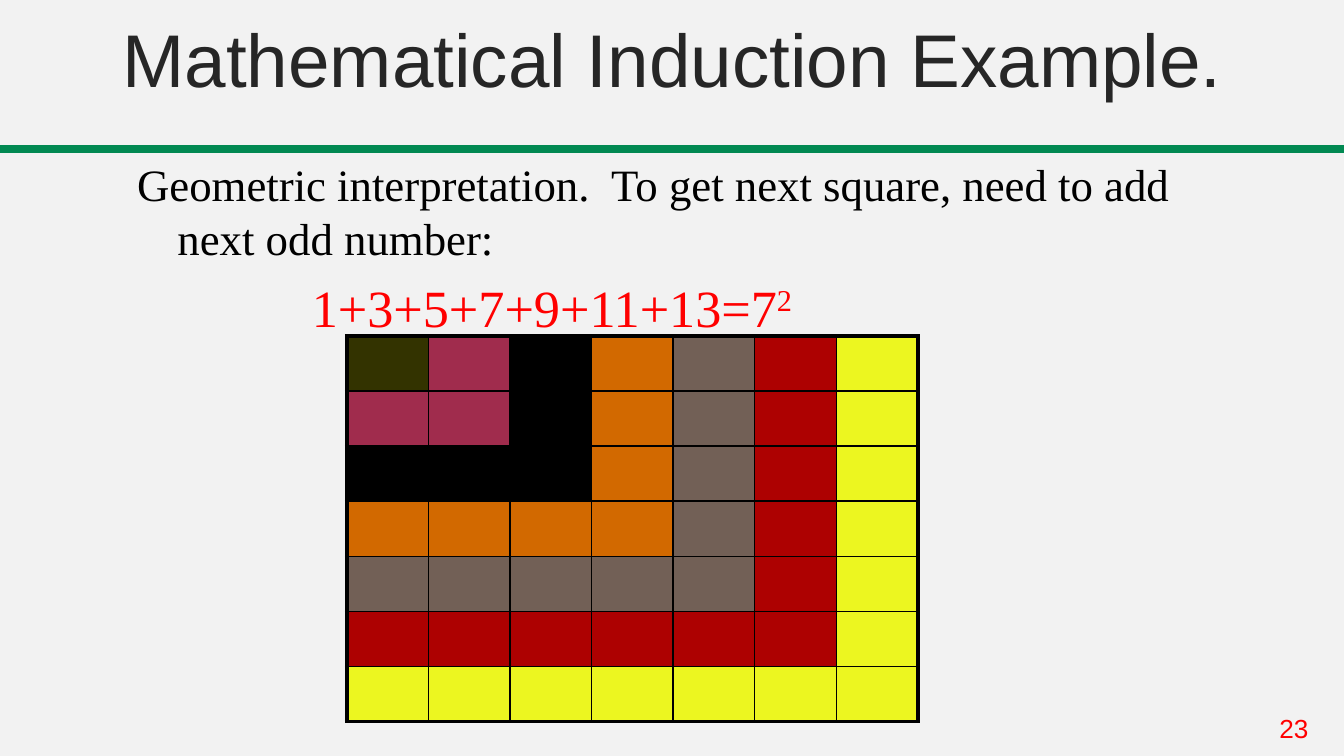
"""Build the slide that shows odd numbers adding up to a square."""

from dataclasses import dataclass, field
from typing import Any

from lxml.etree import SubElement
from pptx import Presentation
from pptx.dml.color import RGBColor as Rgb
from pptx.enum.shapes import MSO_SHAPE as Shape
from pptx.enum.text import MSO_ANCHOR as Anchor, MSO_AUTO_SIZE as AutoSize, PP_ALIGN as Align
from pptx.oxml.ns import qn
from pptx.util import Inches, Pt

COLORS = {
    "background": "F2F2F2", "bar": "018952", "title": "262626",
    "text": "000000", "accent": "FF0000", "border": "000000",
}
RING_COLORS = {
    1: "333300", 3: "A02C4D", 5: "000000", 7: "D26900",
    9: "726056", 11: "AD0101", 13: "ECF620",
}
SQUARE_WIDTH, SQUARE_HEIGHT = 4.25, 2.87
INNER_LINE, OUTER_LINE = 1, 2.25


@dataclass
class Run:
    text: str
    font: str
    size: float
    color: str
    baseline: int = 0


@dataclass
class Line:
    runs: list[Run]
    formats: dict[str, Any] = field(default_factory=dict)
    hanging: float = 0


def apply_formats(target: Any, formats: dict[str, Any]) -> None:
    """Set every attribute named in the formats."""
    for name, value in formats.items():
        setattr(target, name, value)


def place(shape: Any, left: float, top: float, width: float, height: float) -> None:
    """Move and size a shape, in inches."""
    box = {"left": left, "top": top, "width": width, "height": height}
    apply_formats(shape, {name: Inches(value) for name, value in box.items()})


def write_lines(shape: Any, lines: list[Line], anchor: Anchor) -> None:
    """Fill a shape with formatted paragraphs."""
    frame = shape.text_frame
    apply_formats(frame, {"word_wrap": True, "auto_size": AutoSize.NONE, "vertical_anchor": anchor})
    for index, line in enumerate(lines):
        paragraph = frame.add_paragraph() if index else frame.paragraphs[0]
        apply_formats(paragraph, line.formats)
        if line.hanging:
            properties = paragraph._p.get_or_add_pPr()
            properties.set("marL", str(Inches(line.hanging)))
            properties.set("indent", str(-Inches(line.hanging)))
            properties.set("defTabSz", str(Inches(1)))
            SubElement(properties, qn("a:buNone"))
        for item in line.runs:
            run = paragraph.add_run()
            run.text = item.text
            apply_formats(run.font, {"name": item.font, "size": Pt(item.size)})
            run.font.color.rgb = Rgb.from_string(COLORS[item.color])
            if item.baseline:
                run.font._element.set("baseline", str(item.baseline * 1000))


def draw_bar(slide: Any) -> None:
    """Draw the green rule under the title."""
    bar = slide.shapes.add_shape(Shape.RECTANGLE, 0, Inches(1.09), Inches(10), Inches(0.04))
    bar.shadow.inherit = False
    bar.fill.solid()
    for color in (bar.fill.fore_color, bar.line.color):
        color.rgb = Rgb.from_string(COLORS["bar"])
    bar.line.width = Pt(1.75)


def set_borders(cell: Any, widths: dict[str, float]) -> None:
    """Give each side of a cell a solid line, ahead of its fill."""
    properties = cell._tc.get_or_add_tcPr()
    for side, width in widths.items():
        line = SubElement(properties, qn(f"a:ln{side}"), w=str(Pt(width)))
        fill = SubElement(line, qn("a:solidFill"))
        SubElement(fill, qn("a:srgbClr"), val=COLORS["border"])


def draw_square(slide: Any, left: float, top: float) -> None:
    """Draw the square as nested L-shaped rings of table cells."""
    rings = list(RING_COLORS.values())
    count = len(rings)
    table = slide.shapes.add_table(
        count, count, Inches(left), Inches(top), Inches(SQUARE_WIDTH), Inches(SQUARE_HEIGHT),
    ).table
    apply_formats(table, {"first_row": False, "horz_banding": False})
    for column in table.columns:
        column.width = Inches(SQUARE_WIDTH / count)
    for row in table.rows:
        row.height = Inches(SQUARE_HEIGHT / count)
    for row in range(count):
        for column in range(count):
            cell = table.cell(row, column)
            edges = {"L": column == 0, "R": column == count - 1, "T": row == 0, "B": row == count - 1}
            set_borders(cell, {side: OUTER_LINE if outer else INNER_LINE for side, outer in edges.items()})
            cell.fill.solid()
            cell.fill.fore_color.rgb = Rgb.from_string(rings[max(row, column)])


def main() -> None:
    """Build and save the presentation."""
    presentation = Presentation()
    width = Inches(10)
    apply_formats(presentation, {"slide_width": width, "slide_height": width * 9 // 16})
    slide = presentation.slides.add_slide(presentation.slide_layouts[1])
    slide.background.fill.solid()
    slide.background.fill.fore_color.rgb = Rgb.from_string(COLORS["background"])
    draw_bar(slide)

    title, body = slide.placeholders
    place(title, 0, 0, 10, 0.81)
    heading = Run("Mathematical Induction Example.", "Arial", 40, "title")
    write_lines(title, [Line([heading], {"alignment": Align.CENTER})], Anchor.BOTTOM)

    serif = "Times New Roman"
    statement = "Geometric interpretation.  To get next square, need to add next odd number:"
    total = "+".join(map(str, RING_COLORS)) + f"={len(RING_COLORS)}"
    place(body, 0.92, 1.12, 8.5, 1.44)
    write_lines(body, [
        Line([Run(statement, serif, 24, "text")], {"space_before": Pt(4.8)}, 0.3),
        Line([
            Run("\t\t", serif, 24, "text"),
            Run(total, serif, 28, "accent"),
            Run("2", serif, 28, "accent", 30),
        ], {"space_before": Pt(5.6)}, 0.3),
    ], Anchor.MIDDLE)

    draw_square(slide, 2.58, 2.5)
    number = slide.shapes.add_textbox(Inches(9.42), Inches(5.25), Inches(0.58), Inches(0.34))
    write_lines(number, [Line([Run("23", "Arial", 14, "accent")])], Anchor.TOP)
    presentation.save("out.pptx")


if __name__ == "__main__":
    main()
